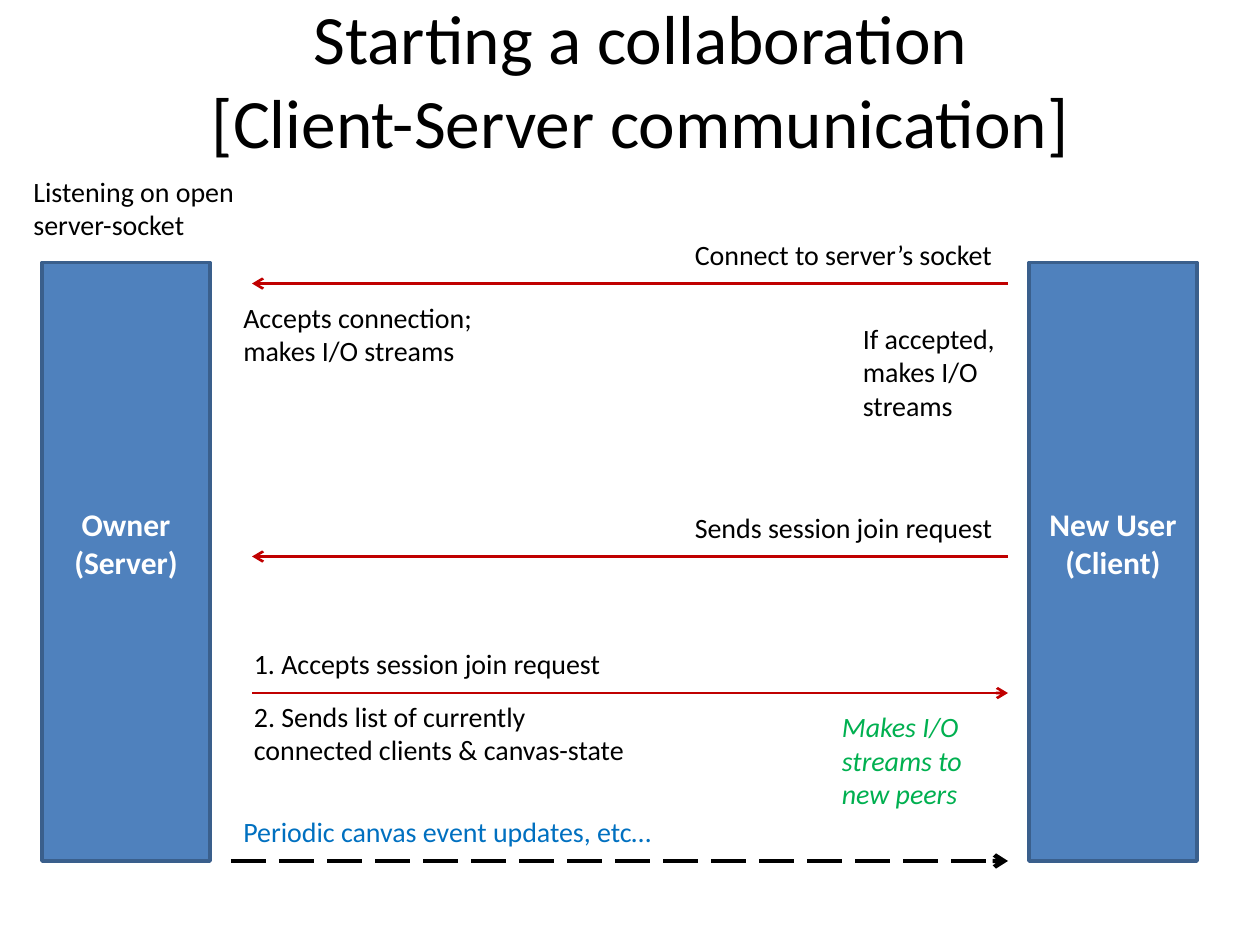
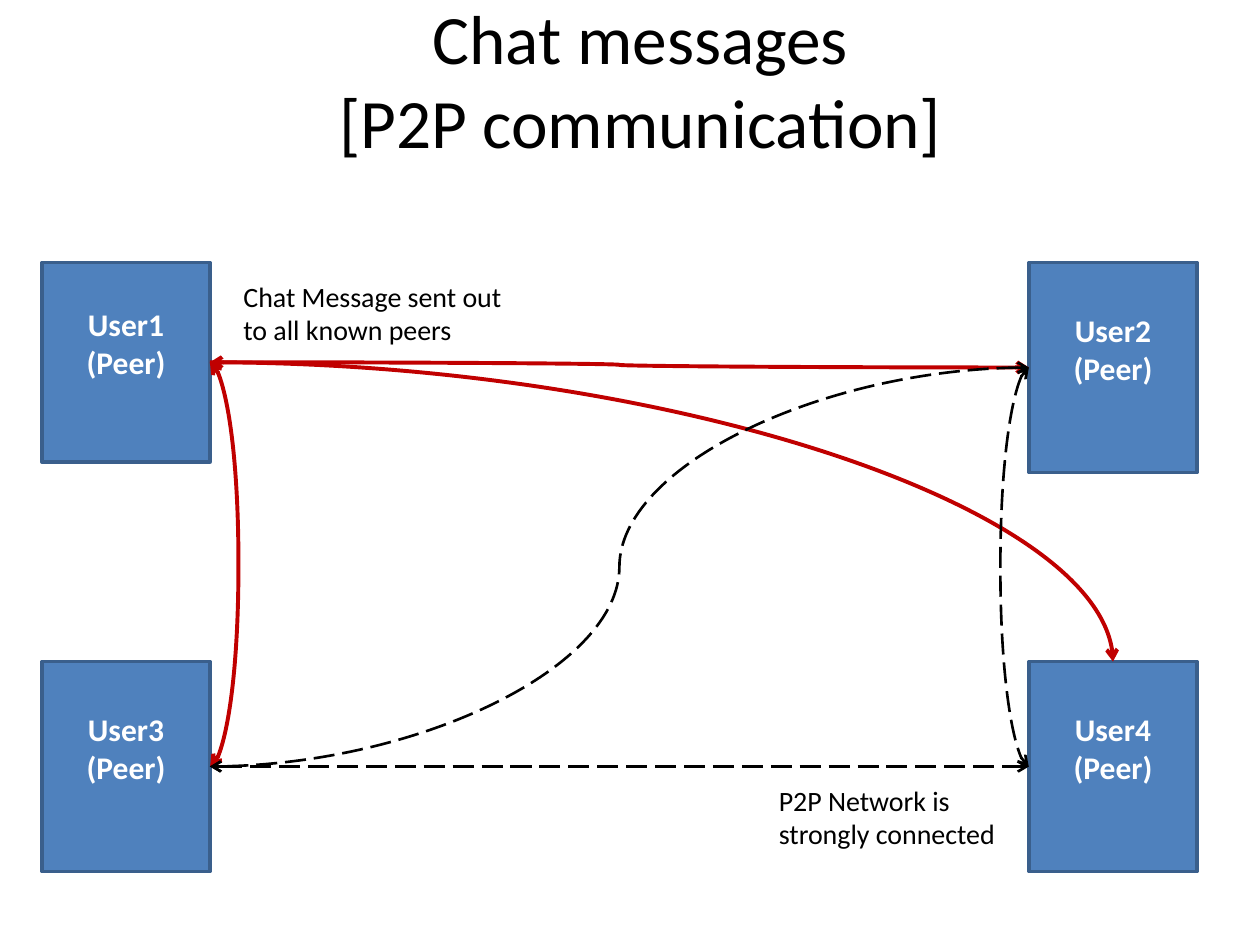
from lxml import etree
from pptx import Presentation
from pptx.dml.color import RGBColor
from pptx.enum.dml import MSO_LINE
from pptx.enum.shapes import MSO_CONNECTOR, MSO_SHAPE
from pptx.enum.text import MSO_ANCHOR, MSO_AUTO_SIZE, PP_ALIGN
from pptx.oxml.ns import qn
from pptx.util import Emu, Inches, Pt

COLORS = {"text": "000000", "box": "4F81BD", "edge": "3A5F8C", "white": "FFFFFF",
          "red": "C00000", "blue": "0070C0", "green": "00B050"}
TOP, LEFT, RIGHT = 0, 1, 3
LEFT_COL, RIGHT_COL, BOX_WIDTH = 4, 98, 16
HAIR = Emu(1588)
BULGE = round(Inches(0.25) / HAIR * 100000)

prs = Presentation()
prs.slide_width, prs.slide_height = Inches(10), Inches(7.5)
CELL = prs.slide_width / 120


def grid(*cells):
    return [Emu(round(cell * CELL)) for cell in cells]


def style_line(connector, color, width, dashed, ends):
    connector.line.color.rgb = RGBColor.from_string(COLORS[color])
    connector.line.width = Pt(width)
    if dashed:
        connector.line.dash_style = MSO_LINE.LONG_DASH
    outline = connector.line._ln
    for end in ends:
        etree.SubElement(outline, qn(f"a:{end}End"), type="arrow")
    etree.SubElement(connector._element.spPr, qn("a:effectLst"))


pages = [
    {"title": "Starting a collaboration\v[Client-Server communication]",
     "boxes": [("Owner", "Server", LEFT_COL, 25, 57),
               ("New User", "Client", RIGHT_COL, 25, 57)],
     "arrows": [(96, 24, 27, "red", 1.5, False),
                (96, 24, 53, "red", 1.5, False),
                (24, 96, 66, "red", 1.5, False),
                (22, 96, 82, "text", 2.5, True)],
     "links": [],
     "labels": [("Connect to server’s socket", 65, 22, 31, 1, "text"),
                ("Listening on open server-socket", 2, 16, 22, 2, "text"),
                ("Accepts connection; makes I/O streams", 22, 28, 25, 2, "text"),
                ("If accepted, makes I/O streams", 81, 30, 16, 3, "text"),
                ("1. Accepts session join request", 23, 61, 37, 1, "text"),
                ("2. Sends list of currently connected clients & canvas-state",
                 23, 66, 39, 2, "text"),
                ("Periodic canvas event updates, etc…", 22, 77, 42, 1, "blue"),
                ("Makes I/O streams to new peers", 79, 67, 16, 3, "green"),
                ("Sends session join request", 65, 48, 31, 1, "text")]},
    {"title": "Chat messages\v[P2P communication]",
     "boxes": [("User1", "Peer", LEFT_COL, 25, 19),
               ("User2", "Peer", RIGHT_COL, 25, 20),
               ("User4", "Peer", RIGHT_COL, 63, 20),
               ("User3", "Peer", LEFT_COL, 63, 20)],
     "arrows": [],
     "links": [("User1", RIGHT, "User2", LEFT, "red", ["tail"]),
               ("User1", RIGHT, "User4", TOP, "red", ["head", "tail"]),
               ("User1", RIGHT, "User3", RIGHT, "red", ["head", "tail"]),
               ("User2", LEFT, "User3", RIGHT, "text", ["head", "tail"]),
               ("User2", LEFT, "User4", LEFT, "text", ["head", "tail"]),
               ("User3", RIGHT, "User4", LEFT, "text", ["head", "tail"])],
     "labels": [("Chat Message sent out to all known peers", 22, 26, 27, 2, "text"),
                ("P2P Network is strongly connected", 73, 74, 24, 2, "text")]},
]

for page in pages:
    slide = prs.slides.add_slide(prs.slide_layouts[5])
    title = slide.shapes.title
    title.left, title.top, title.width, title.height = grid(10, 0, 102, 15)
    title.text_frame.text = page["title"]
    title.text_frame.auto_size = MSO_AUTO_SIZE.NONE
    title.text_frame.vertical_anchor = MSO_ANCHOR.MIDDLE
    heading = title.text_frame.paragraphs[0]
    heading.alignment = PP_ALIGN.CENTER
    heading.font.size = Pt(39.6)
    heading.font.color.rgb = RGBColor.from_string(COLORS["text"])

    boxes = {}
    for name, role, col, row, rows in page["boxes"]:
        box = slide.shapes.add_shape(MSO_SHAPE.RECTANGLE, *grid(col, row, BOX_WIDTH, rows))
        box.shadow.inherit = False
        box.fill.solid()
        box.fill.fore_color.rgb = RGBColor.from_string(COLORS["box"])
        box.line.color.rgb = RGBColor.from_string(COLORS["edge"])
        box.line.width = Pt(2)
        frame = box.text_frame
        frame.text = f"{name}\n({role})"
        frame.word_wrap = True
        frame.vertical_anchor = MSO_ANCHOR.MIDDLE
        frame.margin_bottom = Inches(0.35)
        for paragraph in frame.paragraphs:
            paragraph.alignment = PP_ALIGN.CENTER
            font = paragraph.runs[0].font
            font.size, font.bold = Pt(18), True
            font.color.rgb = RGBColor.from_string(COLORS["white"])
        boxes[name] = box

    for start, end, row, color, width, dashed in page["arrows"]:
        arrow = slide.shapes.add_connector(MSO_CONNECTOR.STRAIGHT, *grid(start, row, end, row))
        style_line(arrow, color, width, dashed, ["tail"])

    for source, source_side, target, target_side, color, ends in page["links"]:
        link = slide.shapes.add_connector(MSO_CONNECTOR.CURVE, 0, 0, 0, 0)
        link.begin_connect(boxes[source], source_side)
        link.end_connect(boxes[target], target_side)
        geometry = link._element.spPr.find(qn("a:prstGeom"))
        if target_side == TOP:
            geometry.set("prst", "curvedConnector2")
        elif source_side == target_side:
            link.end_x += HAIR if source_side == RIGHT else -HAIR
            guides = geometry.find(qn("a:avLst"))
            etree.SubElement(guides, qn("a:gd"), name="adj1", fmla=f"val {BULGE}")
        dashed = color == "text"
        style_line(link, color, 1.5 if dashed else 2.25, dashed, ends)

    for text, col, row, cols, lines, color in page["labels"]:
        label = slide.shapes.add_textbox(*grid(col, row, cols, 1.2 + 3.24 * lines))
        label.text_frame.word_wrap = True
        label.text_frame.text = text
        font = label.text_frame.paragraphs[0].runs[0].font
        font.size, font.italic = Pt(16), color == "green"
        font.color.rgb = RGBColor.from_string(COLORS[color])

prs.save("out.pptx")
